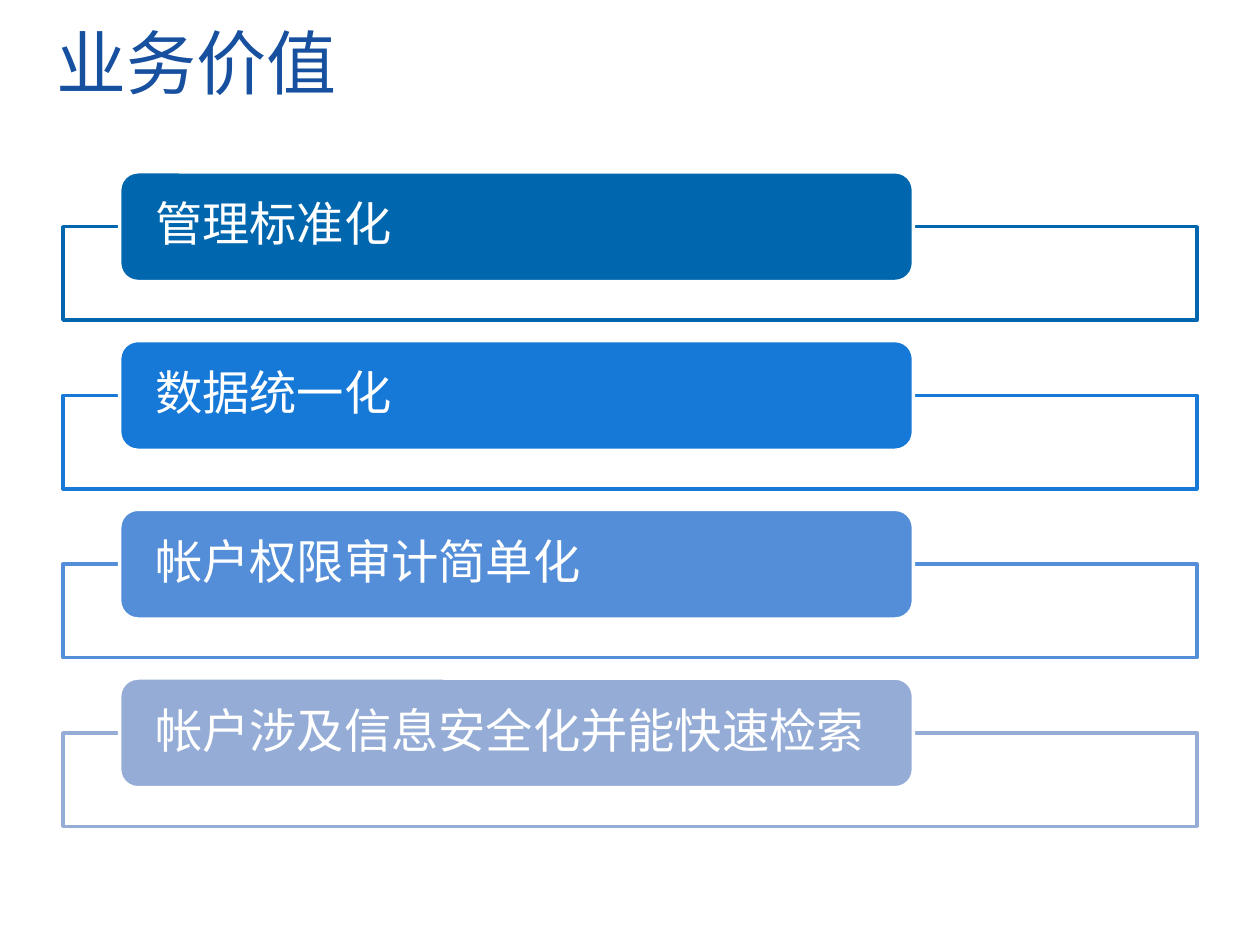
from dataclasses import dataclass

from lxml.etree import SubElement
from pptx import Presentation
from pptx.dml.color import RGBColor
from pptx.enum.shapes import MSO_SHAPE
from pptx.enum.text import MSO_ANCHOR, MSO_AUTO_SIZE, PP_ALIGN
from pptx.oxml.ns import qn
from pptx.util import Pt


@dataclass(frozen=True)
class Theme:
    """Hold the colours, font and type sizes of the slide."""
    font: str = "Arial"
    white: str = "FFFFFF"
    title: str = "16509F"
    rows: tuple = ("0066AE", "1678D7", "548ED8", "95ADD6")
    head: float = 40
    body: float = 27
    line: float = 2


THEME = Theme()
VALUES = ("管理标准化", "数据统一化", "帐户权限审计简单化", "帐户涉及信息安全化并能快速检索")


def write(shape, text, size, color, pad=7.2, space=1.0):
    """Write one left-aligned, middle-anchored line into a shape."""
    frame = shape.text_frame
    frame.word_wrap = True
    frame.auto_size = MSO_AUTO_SIZE.NONE
    frame.vertical_anchor = MSO_ANCHOR.MIDDLE
    frame.margin_left = frame.margin_right = Pt(pad)
    frame.margin_top = frame.margin_bottom = 0
    para = frame.paragraphs[0]
    para.alignment = PP_ALIGN.LEFT
    para.line_spacing = space
    run = para.add_run()
    run.text = text
    run.font.name = THEME.font
    run.font.size = Pt(size)
    run.font.color.rgb = RGBColor.from_string(color)


def panel(slide, kind, box, fill, line):
    """Add a filled and outlined preset shape."""
    shape = slide.shapes.add_shape(kind, *map(Pt, box))
    shape.shadow.inherit = False
    shape.fill.solid()
    shape.fill.fore_color.rgb = RGBColor.from_string(fill)
    shape.line.color.rgb = RGBColor.from_string(line)
    shape.line.width = Pt(THEME.line)
    return shape


def fade(shape, share):
    """Set the opacity of a solid fill in percent."""
    solid = shape.element.spPr.find(qn("a:solidFill"))
    SubElement(solid[0], qn("a:alpha"), val=str(share * 1000))


def header(slide, box, text):
    """Place and format the title."""
    title = slide.shapes.title
    title.left, title.top, title.width, title.height = map(Pt, box)
    write(title, text, THEME.head, THEME.title)


def value(slide, box, text, color):
    """Draw a frame with a labelled pill across its top edge."""
    left, top, width, height = box
    tall = height * 0.74
    drop = tall / 2
    frame = panel(slide, MSO_SHAPE.RECTANGLE,
                  (left, top + drop, width, height - drop), THEME.white, color)
    fade(frame, 90)
    pill = panel(slide, MSO_SHAPE.ROUNDED_RECTANGLE,
                 (left + width * 0.05, top, width * 0.7, tall), color, THEME.white)
    write(pill, text, THEME.body, THEME.white, pad=17.28, space=0.9)


def stack(slide, box, items, gap):
    """Stack the values evenly from top to bottom."""
    left, top, width, height = box
    step = (height + gap) / len(items)
    for row, (text, color) in enumerate(zip(items, THEME.rows)):
        value(slide, (left, top + row * step, width, step - gap), text, color)


def main():
    """Build and save the slide."""
    deck = Presentation()
    deck.slide_width, deck.slide_height = Pt(720), Pt(540)
    slide = deck.slides.add_slide(deck.slide_layouts[5])
    header(slide, (25.2, 15.1, 499, 39.6), "业务价值")
    stack(slide, (36, 98.2, 648, 374), VALUES, gap=11.7)
    deck.save("out.pptx")


if __name__ == "__main__":
    main()
